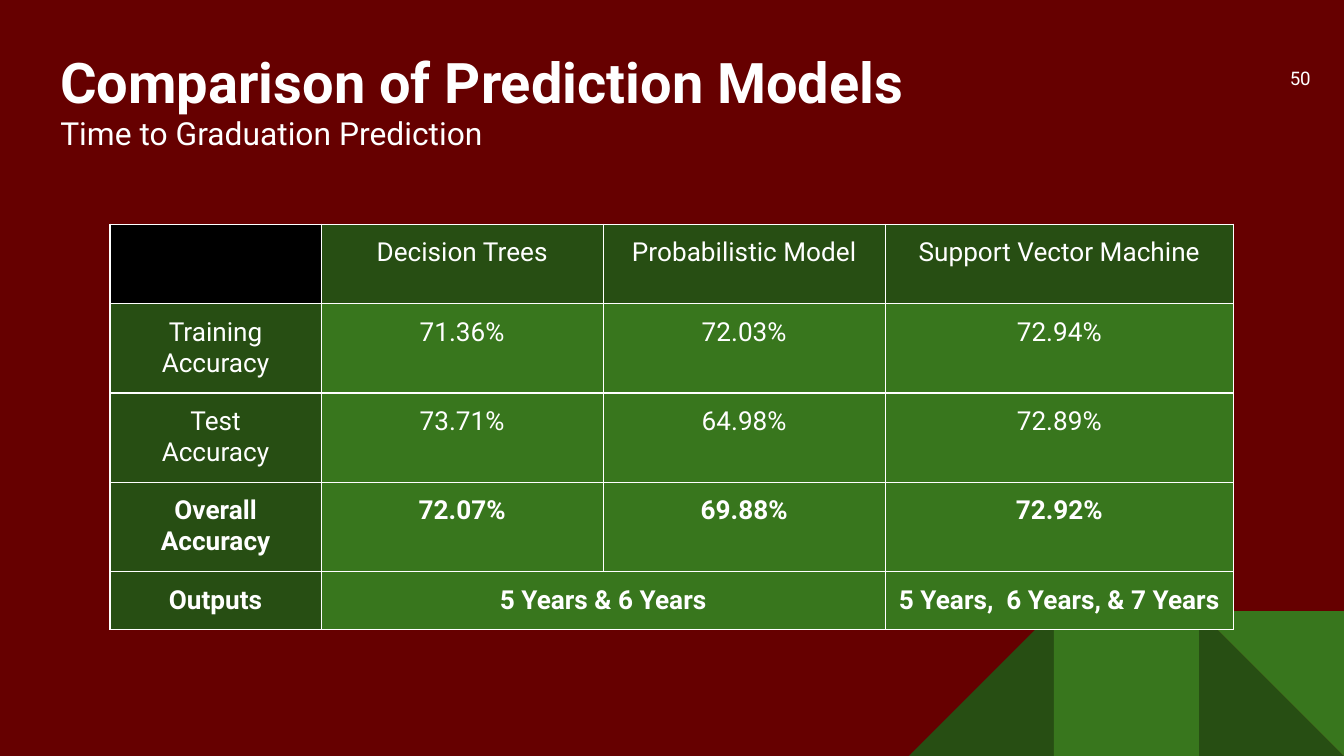
"""Build the slide that compares the accuracy of three prediction models."""
from dataclasses import dataclass

from lxml.etree import SubElement
from pptx import Presentation
from pptx.dml.color import RGBColor
from pptx.enum.shapes import MSO_SHAPE
from pptx.enum.text import MSO_ANCHOR, PP_ALIGN
from pptx.oxml.ns import qn
from pptx.util import Cm, Pt

FONT = "Roboto"
WHITE, BLACK, MAROON = "FFFFFF", "000000", "660000"
DARK_GREEN, GREEN = "274E13", "38761D"
INSET = Cm(0.25)
SLIDE_W, SLIDE_H, TILE = 25.4, 14.29, 2.74
COLUMN_WIDTHS = (3.99, 5.33, 5.33, 6.58)
ROW_HEIGHTS = (1.5, 1.68, 1.68, 1.68, 1.1)


@dataclass
class Tile:
    preset: MSO_SHAPE
    column: int
    color: str
    rotation: int = 0
    flipped: bool = False


@dataclass
class Line:
    text: str
    size: float
    bold: bool = False


@dataclass
class Row:
    cells: tuple[str, ...]
    bold: bool = False


TILES = (
    Tile(MSO_SHAPE.RIGHT_TRIANGLE, 1, DARK_GREEN),
    Tile(MSO_SHAPE.RIGHT_TRIANGLE, 3, DARK_GREEN, flipped=True),
    Tile(MSO_SHAPE.RECTANGLE, 2, GREEN),
    Tile(MSO_SHAPE.RIGHT_TRIANGLE, 1, GREEN, rotation=180),
)
ROWS = (
    Row(("", "Decision Trees", "Probabilistic Model", "Support Vector Machine")),
    Row(("Training Accuracy", "71.36%", "72.03%", "72.94%")),
    Row(("Test\nAccuracy", "73.71%", "64.98%", "72.89%")),
    Row(("Overall\nAccuracy", "72.07%", "69.88%", "72.92%"), True),
    Row(("Outputs", "5 Years & 6 Years", "", "5 Years,  6 Years, & 7 Years"), True),
)


def rgb(color: str) -> RGBColor:
    """Turn a hex string into a colour."""
    return RGBColor.from_string(color)


def paint(obj, color: str) -> None:
    """Give a shape, cell or background a solid fill."""
    obj.fill.solid()
    obj.fill.fore_color.rgb = rgb(color)


def write(tf, lines: list[Line], align: PP_ALIGN) -> None:
    """Write each line as a paragraph with one run."""
    for i, line in enumerate(lines):
        p = tf.add_paragraph() if i else tf.paragraphs[0]
        p.alignment = align
        r = p.add_run()
        r.text = line.text
        r.font.name, r.font.size, r.font.bold = FONT, Pt(line.size), line.bold
        r.font.color.rgb = rgb(WHITE)


def set_insets(obj) -> None:
    """Set equal margins on a text frame or cell."""
    obj.margin_left = obj.margin_top = obj.margin_right = obj.margin_bottom = INSET


def add_text(s, box: tuple[float, ...], lines: list[Line],
             align: PP_ALIGN, anchor: MSO_ANCHOR) -> None:
    """Add a wrapped text box placed in centimetres."""
    tf = s.shapes.add_textbox(*map(Cm, box)).text_frame
    tf.word_wrap, tf.vertical_anchor = True, anchor
    set_insets(tf)
    write(tf, lines, align)


def add_tile(s, tile: Tile) -> None:
    """Add a corner tile, counting columns from the right edge."""
    left, top = SLIDE_W - tile.column * TILE, SLIDE_H - TILE
    sp = s.shapes.add_shape(tile.preset, Cm(left), Cm(top), Cm(TILE), Cm(TILE))
    sp.shadow.inherit = False
    sp.line.fill.background()
    sp.rotation = tile.rotation
    if tile.flipped:
        sp.element.spPr.find(qn("a:xfrm")).set("flipH", "1")
    paint(sp, tile.color)


def add_borders(cell) -> None:
    """Draw thin white lines on all four sides of a cell."""
    tc_pr = cell._tc.get_or_add_tcPr()
    for side in ("lnL", "lnR", "lnT", "lnB"):
        ln = SubElement(tc_pr, qn(f"a:{side}"), w=str(Pt(0.75)))
        fill = SubElement(ln, qn("a:solidFill"))
        SubElement(fill, qn("a:srgbClr"), val=WHITE)


def cell_color(row: int, column: int) -> str:
    """Choose black for the corner, dark green for headings, green for values."""
    if row == column == 0:
        return BLACK
    return GREEN if row and column else DARK_GREEN


def add_accuracy_table(s) -> None:
    """Add the table of accuracies and outputs."""
    table = s.shapes.add_table(
        len(ROWS), len(COLUMN_WIDTHS), Cm(2.08), Cm(4.24),
        Cm(sum(COLUMN_WIDTHS)), Cm(sum(ROW_HEIGHTS))).table
    table.first_row = table.horz_banding = False
    for column, width in zip(table.columns, COLUMN_WIDTHS):
        column.width = Cm(width)
    for i, (row, height) in enumerate(zip(ROWS, ROW_HEIGHTS)):
        table.rows[i].height = Cm(height)
        for j, text in enumerate(row.cells):
            cell = table.cell(i, j)
            set_insets(cell)
            add_borders(cell)
            paint(cell, cell_color(i, j))
            if text:
                lines = [Line(part, 14, row.bold) for part in text.split("\n")]
                write(cell.text_frame, lines, PP_ALIGN.CENTER)
    table.cell(4, 1).merge(table.cell(4, 2))


def main() -> None:
    """Build and save the slide."""
    prs = Presentation()
    prs.slide_width, prs.slide_height = Cm(SLIDE_W), Cm(SLIDE_H)
    s = prs.slides.add_slide(prs.slide_layouts[6])
    paint(s.background, MAROON)
    for tile in TILES:
        add_tile(s, tile)
    add_text(s, (23.5, 0.94, 1.52, 1.09), [Line("50", 10)],
             PP_ALIGN.RIGHT, MSO_ANCHOR.MIDDLE)
    add_text(s, (0.89, 0.64, 21, 2.64),
             [Line("Comparison of Prediction Models", 30, True),
              Line("Time to Graduation Prediction", 17)],
             PP_ALIGN.LEFT, MSO_ANCHOR.TOP)
    add_accuracy_table(s)
    prs.save("out.pptx")


if __name__ == "__main__":
    main()
